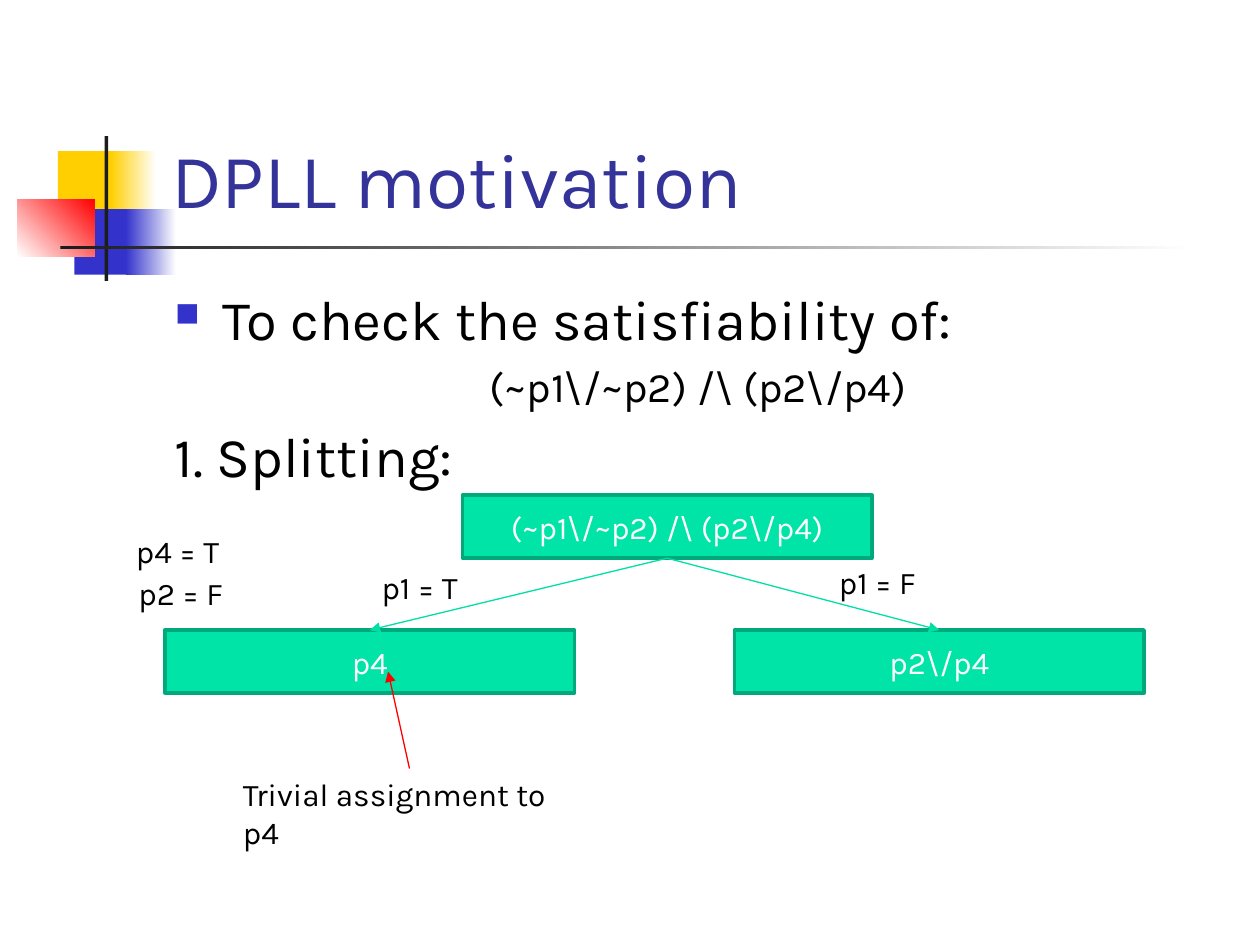
from lxml.etree import SubElement
from pptx import Presentation
from pptx.dml.color import RGBColor
from pptx.enum.shapes import MSO_CONNECTOR, MSO_SHAPE
from pptx.enum.text import MSO_ANCHOR, PP_ALIGN
from pptx.oxml.ns import qn
from pptx.util import Inches, Pt

THEME = {
    "font": "Karla",
    "title": 44, "body": 32, "formula": 24, "label": 18,
    "ink": "000000", "heading": "333399", "white": "FFFFFF",
    "yellow": "FFCF01", "blue": "3333CC", "red": "FF0000", "dark": "1C1C1C",
    "node": "00E4A8", "node_line": "00A97C", "branch": "00DFA4",
}

FORMULA = r"(~p1\/~p2) /\ (p2\/p4)"
TITLE = ("DPLL motivation", (1.26, 0.23, 8.52, 1.6))
BODY_BOX = (1.29, 2.21, 8.5, 4.5)
BODY = [
    ("To check the satisfiability of:", "body", PP_ALIGN.LEFT, "■"),
    (FORMULA, "formula", PP_ALIGN.CENTER, None),
    ("1. Splitting:", "body", PP_ALIGN.LEFT, None),
]
DECOR = [
    ((0.46, 1.2, 0.48, 0.52), ("yellow",), 0),
    ((0.88, 1.2, 0.36, 0.52), ("yellow", "white"), 0),
    ((0.59, 1.66, 0.46, 0.52), ("blue",), 0),
    ((1, 1.66, 0.4, 0.52), ("blue", "white"), 0),
    ((0.14, 1.58, 0.61, 0.46), ("white", "red"), 45),
    ((0.83, 1.08, 0.03, 1.15), ("dark",), 0),
    ((0.48, 1.95, 9, 0.03), ("dark", "white"), 0),
]
NODE_W, NODE_H = 3.25, 0.5
ROOT = (FORMULA, 3.67, 3.93)
CHILDREN = [("p4", 1.31, 5), (r"p2\/p4", 5.83, 5)]
LABELS = [
    ("p1 = T", 2.93, 4.46, 1.35),
    ("p1 = F", 6.56, 4.42, 1.35),
    ("Trivial assignment to p4", 1.83, 6.1, 2.83),
    ("p2 = F", 1, 4.51, 1.35),
    ("p4 = T", 0.98, 4.17, 1.35),
]
LABEL_H = 0.4
POINTER = ((3.25, 6.1), (3.08, 5.33))


def color(name):
    return RGBColor.from_string(THEME[name])


def inches(values):
    return [Inches(v) for v in values]


def add_run(p, text, size, ink="ink"):
    r = p.add_run()
    r.text = text
    r.font.name = THEME["font"]
    r.font.size = Pt(THEME[size])
    r.font.color.rgb = color(ink)


def add_rect(s, box, fills, angle=0):
    sp = s.shapes.add_shape(MSO_SHAPE.RECTANGLE, *inches(box))
    sp.shadow.inherit = False
    sp.line.fill.background()
    if len(fills) == 1:
        sp.fill.solid()
        sp.fill.fore_color.rgb = color(fills[0])
    else:
        sp.fill.gradient()
        sp.fill.gradient_angle = angle
        for stop, name in zip(sp.fill.gradient_stops, fills):
            stop.color.rgb = color(name)
    return sp


def add_text_frame(s, box):
    tf = s.shapes.add_textbox(*inches(box)).text_frame
    tf.word_wrap = True
    return tf


def add_bullet(p, char):
    pPr = p._p.get_or_add_pPr()
    pPr.set("marL", str(Inches(0.38)))
    pPr.set("indent", str(-Inches(0.38)))
    clr = SubElement(pPr, qn("a:buClr"))
    SubElement(clr, qn("a:srgbClr"), val=THEME["blue"])
    SubElement(pPr, qn("a:buSzPct"), val="60000")
    SubElement(pPr, qn("a:buChar"), char=char)


def add_node(s, text, left, top):
    sp = add_rect(s, (left, top, NODE_W, NODE_H), ("node",))
    sp.line.color.rgb = color("node_line")
    sp.line.width = Pt(2)
    tf = sp.text_frame
    tf.word_wrap = True
    tf.vertical_anchor = MSO_ANCHOR.MIDDLE
    p = tf.paragraphs[0]
    p.alignment = PP_ALIGN.CENTER
    add_run(p, text, "label", "white")
    return sp


def add_arrow(s, start, end, name):
    c = s.shapes.add_connector(MSO_CONNECTOR.STRAIGHT, *start, *end)
    c.line.color.rgb = color(name)
    c.line.width = Pt(0.75)
    SubElement(c.line._get_or_add_ln(), qn("a:tailEnd"), type="triangle")
    SubElement(c._element.spPr, qn("a:effectLst"))
    return c


def main():
    prs = Presentation()
    prs.slide_width, prs.slide_height = Inches(10), Inches(7.5)
    s = prs.slides.add_slide(prs.slide_layouts[6])

    for box, fills, angle in DECOR:
        add_rect(s, box, fills, angle)

    text, box = TITLE
    tf = add_text_frame(s, box)
    tf.vertical_anchor = MSO_ANCHOR.BOTTOM
    add_run(tf.paragraphs[0], text, "title", "heading")

    tf = add_text_frame(s, BODY_BOX)
    for i, (text, size, align, bullet) in enumerate(BODY):
        p = tf.add_paragraph() if i else tf.paragraphs[0]
        p.alignment = align
        if i:
            p.space_before = Pt(THEME[size] * 0.2)
        if bullet:
            add_bullet(p, bullet)
        add_run(p, text, size)

    root = add_node(s, *ROOT)
    for child in [add_node(s, *node) for node in CHILDREN]:
        start = (root.left + root.width // 2, root.top + root.height)
        end = (child.left + child.width // 2, child.top)
        c = add_arrow(s, start, end, "branch")
        c.begin_connect(root, 2)
        c.end_connect(child, 0)

    for text, left, top, width in LABELS:
        tf = add_text_frame(s, (left, top, width, LABEL_H))
        add_run(tf.paragraphs[0], text, "label")
    add_arrow(s, *map(inches, POINTER), "red")

    prs.save("out.pptx")


if __name__ == "__main__":
    main()
